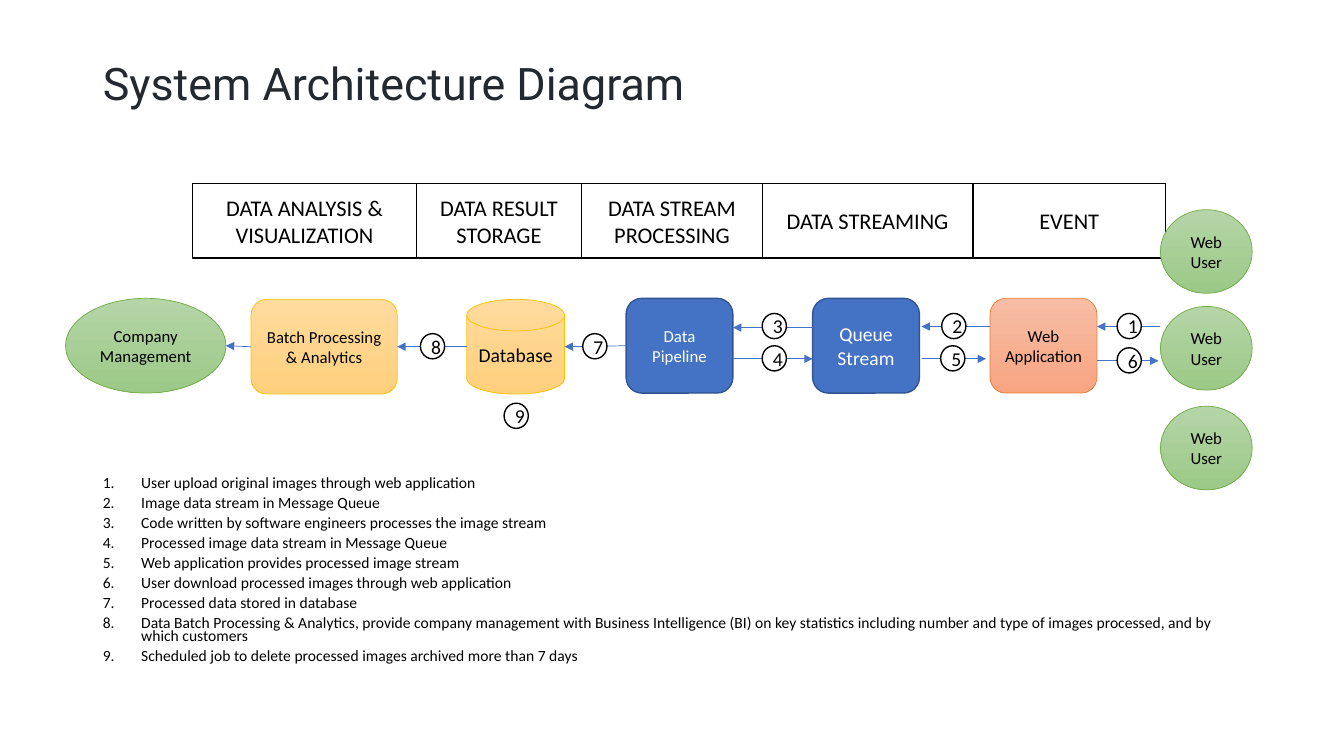
from pptx import Presentation
from pptx.dml.color import RGBColor
from pptx.enum.shapes import MSO_CONNECTOR, MSO_SHAPE as SHAPE
from pptx.enum.text import MSO_ANCHOR as ANCHOR, MSO_AUTO_SIZE, PP_ALIGN as ALIGN
from pptx.oxml.ns import qn
from pptx.util import Inches, Pt
from lxml.etree import SubElement

BLACK = RGBColor(0x00, 0x00, 0x00)
WHITE = RGBColor(0xFF, 0xFF, 0xFF)
INK = RGBColor(0x24, 0x29, 0x2F)
BLUE = RGBColor(0x44, 0x72, 0xC4)
NAVY = RGBColor(0x32, 0x54, 0x91)
GOLD = RGBColor(0xFF, 0xC0, 0x00)
ORANGE = RGBColor(0xED, 0x7D, 0x31)
GREEN = RGBColor(0x70, 0xAD, 0x47)

# Styles: fill (one colour or a top-to-bottom pair), line, line width, text colour
PLAIN = ((WHITE,), BLACK, 1, BLACK)
STREAM = ((BLUE,), NAVY, 1, WHITE)
STORE = ((RGBColor(0xFF, 0xDB, 0x9E), RGBColor(0xFF, 0xD0, 0x7C)), GOLD, 0.5, BLACK)
APP = ((RGBColor(0xF7, 0xBD, 0xA5), RGBColor(0xF8, 0xA5, 0x82)), ORANGE, 0.5, BLACK)
PEOPLE = ((RGBColor(0xB5, 0xD5, 0xA7), RGBColor(0x9C, 0xC9, 0x87)), GREEN, 0.5, BLACK)

STAGES = ["DATA ANALYSIS & VISUALIZATION", "DATA RESULT STORAGE",
          "DATA STREAM PROCESSING", "DATA STREAMING", "EVENT"]
STAGE_EDGES = [1.91, 4.13, 5.77, 7.56, 9.65, 11.56]

# Label, shape, left, top, width, text size, style
NODES = [
    ("Company Management", SHAPE.OVAL, 0.65, 2.96, 1.59, 12, PEOPLE),
    ("Batch Processing & Analytics", SHAPE.ROUNDED_RECTANGLE, 2.49, 2.97, 1.45, 12, STORE),
    ("Database", SHAPE.FLOWCHART_MAGNETIC_DISK, 4.63, 2.97, 0.97, 14, STORE),
    ("Data Pipeline", SHAPE.ROUNDED_RECTANGLE, 6.21, 2.96, 1.06, 12, STREAM),
    ("Queue Stream", SHAPE.ROUNDED_RECTANGLE, 8.06, 2.96, 1.06, 14, STREAM),
    ("Web Application", SHAPE.ROUNDED_RECTANGLE, 9.82, 2.96, 1.06, 12, APP),
]
USER_TOPS = [2.08, 3.04, 4.03]

# Start x, start y, end x, end y
FLOWS = [
    (11.51, 3.24, 10.88, 3.24), (10.88, 3.58, 11.49, 3.58),
    (9.82, 3.24, 9.14, 3.24), (9.14, 3.56, 9.78, 3.56),
    (8.06, 3.25, 7.27, 3.25), (7.27, 3.56, 8.06, 3.56),
    (6.21, 3.43, 5.6, 3.44), (4.63, 3.44, 3.94, 3.44),
    (2.49, 3.44, 2.24, 3.43),
]
# Left and top of step markers 1 to 9
MARKERS = [(11.08, 3.11), (9.34, 3.11), (7.56, 3.11), (7.56, 3.43), (9.33, 3.43),
           (11.08, 3.45), (5.78, 3.31), (4.17, 3.31), (5, 4)]

STEPS = [
    "User upload original images through web application",
    "Image data stream in Message Queue",
    "Code written by software engineers processes the image stream",
    "Processed image data stream in Message Queue",
    "Web application provides processed image stream",
    "User download processed images through web application",
    "Processed data stored in database",
    "Data Batch Processing & Analytics, provide company management with Business "
    "Intelligence (BI) on key statistics including number and type of images processed, "
    "and by which customers",
    "Scheduled job to delete processed images archived more than 7 days",
]


def add_run(paragraph, text, size, color, font="Calibri"):
    run = paragraph.add_run()
    run.text = text
    run.font.name = font
    run.font.size = Pt(size)
    run.font.color.rgb = color


def place(item, left, top, width, height):
    item.left, item.top = Inches(left), Inches(top)
    item.width, item.height = Inches(width), Inches(height)


def add_node(slide, label, kind, box, size, style):
    colors, line, line_width, text_color = style
    node = slide.shapes.add_shape(kind, *map(Inches, box))
    node.shadow.inherit = False
    if len(colors) == 1:
        node.fill.solid()
        node.fill.fore_color.rgb = colors[0]
    else:
        node.fill.gradient()
        node.fill.gradient_angle = 270
        for stop, color in zip(node.fill.gradient_stops, colors):
            stop.color.rgb = color
    node.line.color.rgb = line
    node.line.width = Pt(line_width)
    frame = node.text_frame
    frame.word_wrap = True
    frame.vertical_anchor = ANCHOR.MIDDLE
    frame.paragraphs[0].alignment = ALIGN.CENTER
    add_run(frame.paragraphs[0], label, size, text_color)


def add_arrow(slide, ends):
    arrow = slide.shapes.add_connector(MSO_CONNECTOR.STRAIGHT, *map(Inches, ends))
    arrow.line.color.rgb = BLUE
    arrow.line.width = Pt(0.5)
    SubElement(arrow.line._get_or_add_ln(), qn("a:tailEnd"), type="triangle")
    SubElement(arrow._element.spPr, qn("a:effectLst"))


def fill_title(title):
    place(title, 0.92, 0.4, 11.5, 0.9)
    title.text_frame.vertical_anchor = ANCHOR.MIDDLE
    heading = title.text_frame.paragraphs[0]
    heading.alignment = ALIGN.LEFT
    heading.line_spacing = 0.9
    add_run(heading, "System Architecture Diagram", 32, INK, "Roboto")


def fill_steps(body):
    place(body, 0.92, 4.69, 11.5, 2.05)
    frame = body.text_frame
    frame.auto_size = MSO_AUTO_SIZE.NONE
    frame.vertical_anchor = ANCHOR.TOP
    for index, text in enumerate(STEPS):
        step = frame.add_paragraph() if index else frame.paragraphs[0]
        step.line_spacing = 0.7
        step.space_before = Pt(5)
        props = step._p.get_or_add_pPr()
        props.set("marL", str(Inches(0.38)))
        props.set("indent", str(-Inches(0.38)))
        SubElement(props, qn("a:buFont"), typeface="+mj-lt")
        SubElement(props, qn("a:buAutoNum"), type="arabicPeriod")
        add_run(step, text, 11.1, BLACK)


def main():
    deck = Presentation()
    deck.slide_width, deck.slide_height = Inches(13.33), Inches(7.5)
    slide = deck.slides.add_slide(deck.slide_layouts[1])

    # Title and numbered steps
    fill_title(slide.shapes.title)
    fill_steps(slide.placeholders[1])

    # Stage headers
    for stage, left, right in zip(STAGES, STAGE_EDGES, STAGE_EDGES[1:]):
        add_node(slide, stage, SHAPE.RECTANGLE, (left, 1.82, right - left, 0.74), 16, PLAIN)

    # Components and users
    for label, kind, left, top, width, size, style in NODES:
        add_node(slide, label, kind, (left, top, width, 0.94), size, style)
    for top in USER_TOPS:
        add_node(slide, "Web User", SHAPE.OVAL, (11.51, top, 0.91, 0.83), 12, PEOPLE)

    # Flows, with step markers on top
    for ends in FLOWS:
        add_arrow(slide, ends)
    for number, (left, top) in enumerate(MARKERS, 1):
        add_node(slide, str(number), SHAPE.OVAL, (left, top, 0.24, 0.25), 14, PLAIN)

    deck.save("out.pptx")


main()
